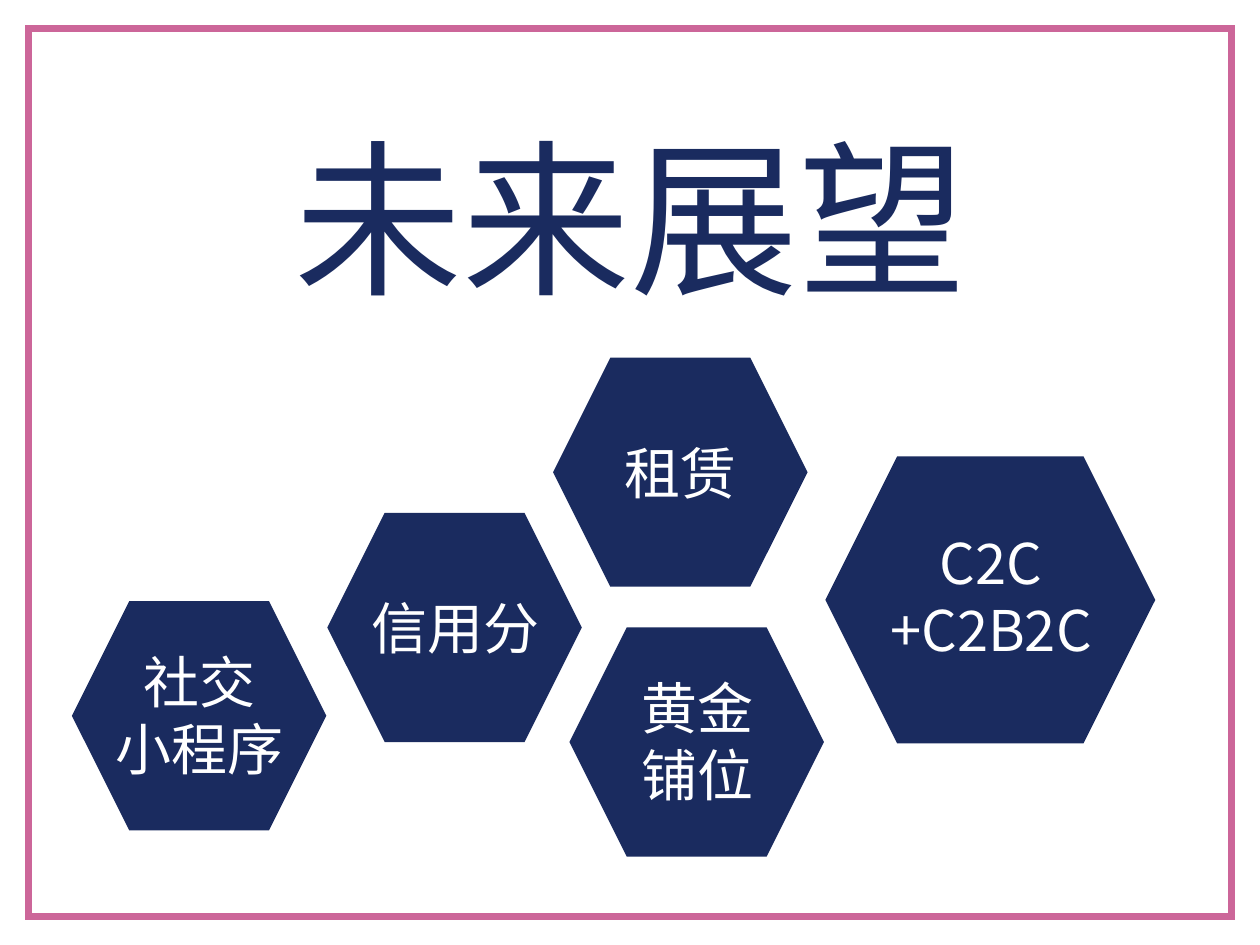
from lxml.etree import SubElement
from pptx import Presentation
from pptx.dml.color import RGBColor
from pptx.enum.shapes import MSO_SHAPE
from pptx.enum.text import PP_ALIGN
from pptx.oxml.ns import qn
from pptx.util import Cm, Pt

COLORS = {"frame": "CC6699", "navy": "1A2B5F", "white": "FFFFFF"}
TITLE = {"size": Pt(96), "name": "Noto Sans CJK JP"}
LABEL = {"size": Pt(32), "name": "Noto Sans CJK SC"}


def rgb(key):
    return RGBColor.from_string(COLORS[key])


def add_text(shapes, box, lines, fmt, color, spacing, top):
    tf = shapes.add_textbox(*map(Cm, box)).text_frame
    tf.word_wrap = True
    tf.margin_top = Cm(top)
    for i, line in enumerate(lines):
        p = tf.paragraphs[0] if i == 0 else tf.add_paragraph()
        p.alignment = PP_ALIGN.CENTER
        p.line_spacing = Pt(spacing)
        r = p.add_run()
        r.text = line
        for key, value in fmt.items():
            setattr(r.font, key, value)
        r.font.color.rgb = rgb(color)
        SubElement(r._r.get_or_add_rPr(), qn("a:ea"), typeface=fmt["name"])


prs = Presentation()
prs.slide_width, prs.slide_height = Cm(25.4), Cm(19.05)
s = prs.slides.add_slide(prs.slide_layouts[6])

frame = s.shapes.add_shape(MSO_SHAPE.RECTANGLE, Cm(0.58), Cm(0.58), Cm(24.25), Cm(17.9))
frame.shadow.inherit = False
frame.fill.background()
frame.line.color.rgb = rgb("frame")
frame.line.width = Pt(4.25)
SubElement(frame.line._get_or_add_ln(), qn("a:miter"), lim="800000")

add_text(s.shapes, (4.34, 2.18, 16.74, 4.37), ["未来展望"], TITLE, "navy", 116.5, 0.08)

small, large = (5.13, 4.62), (6.65, 5.79)
hexagons = [
    (1.45, 12.12, small, 12.93, ["社交", "小程序"]),
    (11.15, 7.21, small, 8.71, ["租赁"]),
    (6.6, 10.34, small, 11.84, ["信用分"]),
    (16.64, 9.2, large, 10.52, ["C2C", "+C2B2C"]),
    (11.48, 12.65, small, 13.46, ["黄金", "铺位"]),
]
for x, y, (w, h), text_y, lines in hexagons:
    group = s.shapes.add_group_shape()
    sp = group.shapes.add_shape(MSO_SHAPE.HEXAGON, Cm(x), Cm(y), Cm(w), Cm(h))
    sp.shadow.inherit = False
    sp.fill.solid()
    sp.fill.fore_color.rgb = rgb("navy")
    sp.line.fill.background()
    box = (x, text_y, w + 0.03, 0.26 + 1.37 * len(lines))
    add_text(group.shapes, box, lines, LABEL, "white", 38.3, 0.13)

prs.save("out.pptx")
